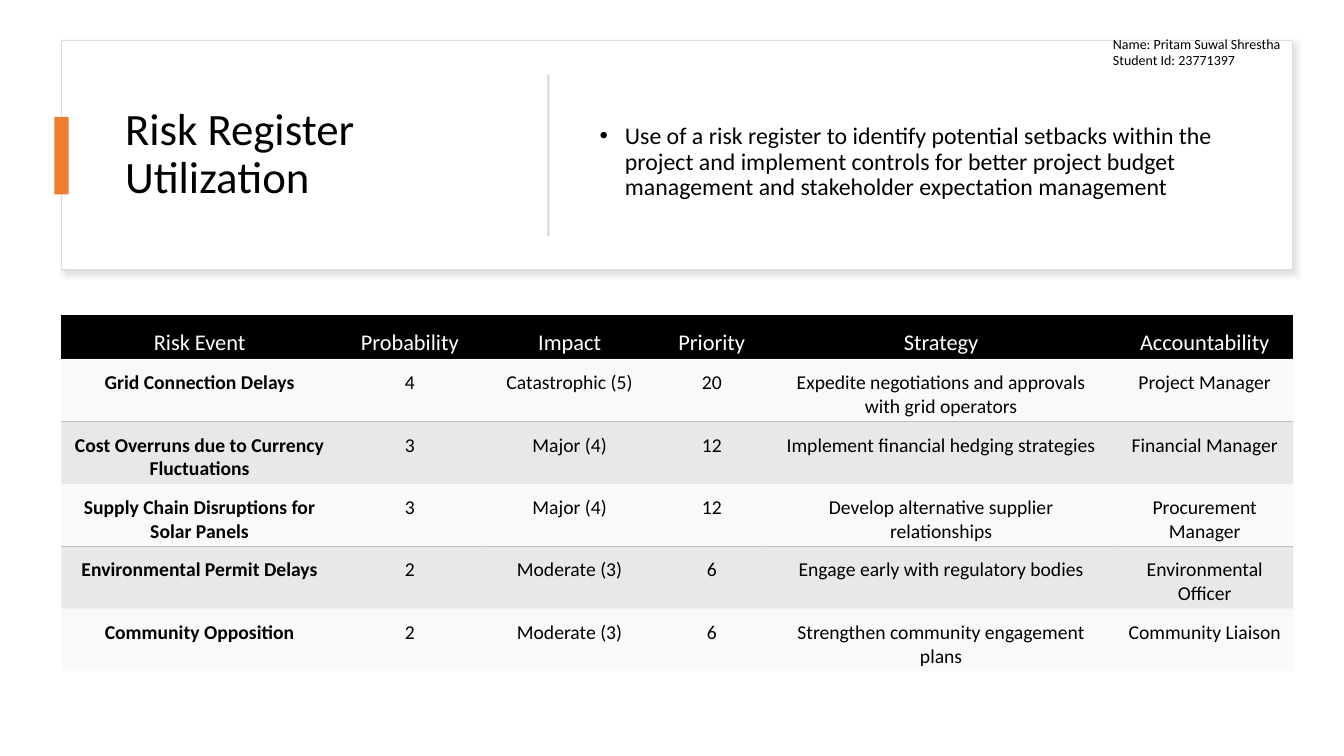
from dataclasses import dataclass

from lxml.etree import SubElement as Sub
from pptx import Presentation
from pptx.dml.color import RGBColor as RGB
from pptx.enum.shapes import MSO_SHAPE as Geo
from pptx.enum.text import MSO_ANCHOR as Anchor, MSO_AUTO_SIZE as Fit, PP_ALIGN as Align
from pptx.oxml.ns import qn
from pptx.util import Inches, Pt


@dataclass(frozen=True)
class Theme:
    font: str = "Calibri"
    ink: str = "000000"
    paper: str = "FFFFFF"
    edge: str = "DEDEDE"
    shade: str = "C5C3C3"
    accent: str = "ED7D31"
    rule: str = "D5D5D5"
    light: str = "F2F2F2"
    gray: str = "BFBFBF"
    title: int = 32
    body: int = 17
    head: int = 16
    cell: int = 14
    note: int = 10


THEME = Theme()


def put(frame, text, size, color=THEME.ink, bold=False, align=Align.LEFT,
        anchor=Anchor.TOP, space=None, bullet=None):
    """Write text into a frame, one paragraph per line."""
    frame.vertical_anchor = anchor
    for i, line in enumerate(text.split("\n")):
        para = frame.paragraphs[0] if i == 0 else frame.add_paragraph()
        para.alignment = align
        if space:
            para.line_spacing = space
        if bullet:
            props = para._p.get_or_add_pPr()
            props.set("marL", str(Inches(0.25)))
            props.set("indent", str(Inches(-0.25)))
            Sub(props, qn("a:buFont"), typeface="Arial")
            Sub(props, qn("a:buChar"), char=bullet)
        run = para.add_run()
        run.text = line
        font = run.font
        font.name, font.size, font.bold = THEME.font, Pt(size), bold
        font.color.rgb = RGB.from_string(color)


class Deck:
    def __init__(self, theme):
        self.theme = theme
        self.show = Presentation()
        self.show.slide_width = Inches(13.33)
        self.show.slide_height = Inches(7.5)
        self.slide = self.show.slides.add_slide(self.show.slide_layouts[5])

    def rect(self, x, y, w, h, fill, line=None, shadow=None):
        box = self.slide.shapes.add_shape(
            Geo.RECTANGLE, Inches(x), Inches(y), Inches(w), Inches(h))
        box.shadow.inherit = False
        box.fill.solid()
        box.fill.fore_color.rgb = RGB.from_string(fill)
        if line:
            box.line.color.rgb = RGB.from_string(line)
            box.line.width = Pt(1)
        else:
            box.line.fill.background()
        if shadow:
            effects = box._element.spPr.find(qn("a:effectLst"))
            outer = Sub(effects, qn("a:outerShdw"), blurRad=str(Pt(4)),
                        dist=str(Pt(3)), dir="2700000", algn="tl", rotWithShape="0")
            color = Sub(outer, qn("a:srgbClr"), val=shadow)
            Sub(color, qn("a:alpha"), val="50000")

    def title(self, x, y, w, h, text):
        box = self.slide.shapes.title
        box.left, box.top, box.width, box.height = map(Inches, (x, y, w, h))
        self.slide.shapes._spTree.append(box._element)  # in front of the card
        box.text_frame.word_wrap = True
        box.text_frame.auto_size = Fit.NONE
        put(box.text_frame, text, self.theme.title, anchor=Anchor.MIDDLE, space=0.9)

    def text(self, x, y, w, h, text, size, wrap=True, fit=Fit.NONE, top=0.05, **form):
        box = self.slide.shapes.add_textbox(Inches(x), Inches(y), Inches(w), Inches(h))
        frame = box.text_frame
        frame.word_wrap, frame.auto_size = wrap, fit
        frame.margin_top = Inches(top)
        put(frame, text, size, **form)

    def cell(self, cell, text, size, fill, alpha=100, side=None, **form):
        cell.margin_left = cell.margin_right = cell.margin_top = Inches(0.12)
        cell.margin_bottom = 0
        put(cell.text_frame, text, size, align=Align.CENTER, **form)
        # Borders come before the fill
        props = cell._tc.get_or_add_tcPr()
        for name in ("lnL", "lnR", "lnT", "lnB"):
            if name == side:
                line = Sub(props, qn(f"a:{name}"), w=str(Pt(1)))
                Sub(Sub(line, qn("a:solidFill")), qn("a:srgbClr"), val=self.theme.gray)
            else:
                Sub(Sub(props, qn(f"a:{name}"), w="0"), qn("a:noFill"))
        cell.fill.solid()
        cell.fill.fore_color.rgb = RGB.from_string(fill)
        if alpha < 100:
            color = props.find(qn("a:solidFill")).find(qn("a:srgbClr"))
            Sub(color, qn("a:alpha"), val=str(alpha * 1000))

    def table(self, x, y, cols, rows, data):
        look = self.theme
        grid = self.slide.shapes.add_table(
            len(rows), len(cols), Inches(x), Inches(y),
            Inches(sum(cols)), Inches(sum(rows))).table
        for col, wide in zip(grid.columns, cols):
            col.width = Inches(wide)
        for row, high in zip(grid.rows, rows):
            row.height = Inches(high)
        for r, line in enumerate(data):
            for c, text in enumerate(line):
                cell = grid.cell(r, c)
                if r == 0:
                    self.cell(cell, text, look.head, look.ink, color=look.paper)
                    cell.vertical_anchor = Anchor.MIDDLE
                elif r % 2:
                    side = "lnB" if r < len(data) - 1 else None
                    self.cell(cell, text, look.cell, look.light, 45, side, bold=c == 0)
                else:
                    self.cell(cell, text, look.cell, look.gray, 35, "lnT", bold=c == 0)


RISKS = [
    ("Risk Event", "Probability", "Impact", "Priority", "Strategy", "Accountability"),
    ("Grid Connection Delays", "4", "Catastrophic (5)", "20",
     "Expedite negotiations and approvals with grid operators", "Project Manager"),
    ("Cost Overruns due to Currency Fluctuations", "3", "Major (4)", "12",
     "Implement financial hedging strategies", "Financial Manager"),
    ("Supply Chain Disruptions for Solar Panels", "3", "Major (4)", "12",
     "Develop alternative supplier relationships", "Procurement Manager"),
    ("Environmental Permit Delays", "2", "Moderate (3)", "6",
     "Engage early with regulatory bodies", "Environmental Officer"),
    ("Community Opposition", "2", "Moderate (3)", "6",
     "Strengthen community engagement plans", "Community Liaison"),
]


def main():
    deck = Deck(THEME)

    # Header card
    deck.rect(0.61, 0.4, 12.21, 2.28, THEME.paper, THEME.edge, THEME.shade)
    deck.title(1.14, 0.64, 3.89, 1.8, "Risk Register Utilization")
    deck.rect(0.54, 1.16, 0.14, 0.77, THEME.accent)
    deck.rect(5.43, 0.74, 0.02, 1.6, THEME.rule)
    deck.text(5.85, 0.64, 6.56, 1.8,
              "Use of a risk register to identify potential setbacks within the project "
              "and implement controls for better project budget management and "
              "stakeholder expectation management",
              THEME.body, top=0.19, anchor=Anchor.MIDDLE, space=0.9, bullet="•")

    # Risk register
    deck.table(0.61, 3.13, [2.74, 1.43, 1.74, 1.08, 3.47, 1.76],
               [0.43] + [0.62] * 5, RISKS)

    # Student details
    deck.text(10.94, 0.3, 1.89, 0.44,
              "Name: Pritam Suwal Shrestha\nStudent Id: 23771397",
              THEME.note, wrap=False, fit=Fit.SHAPE_TO_FIT_TEXT)

    deck.show.save("out.pptx")


if __name__ == "__main__":
    main()
